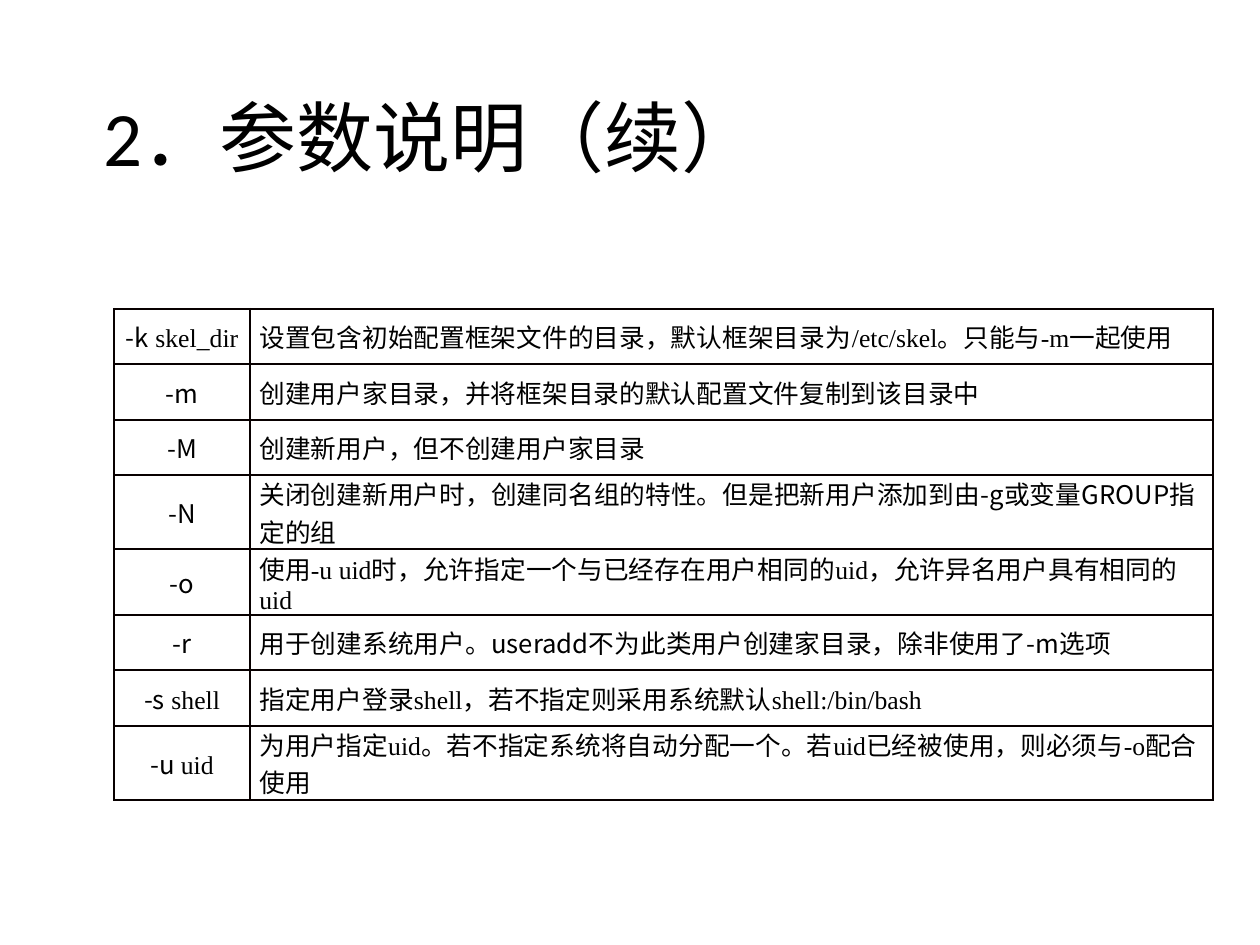
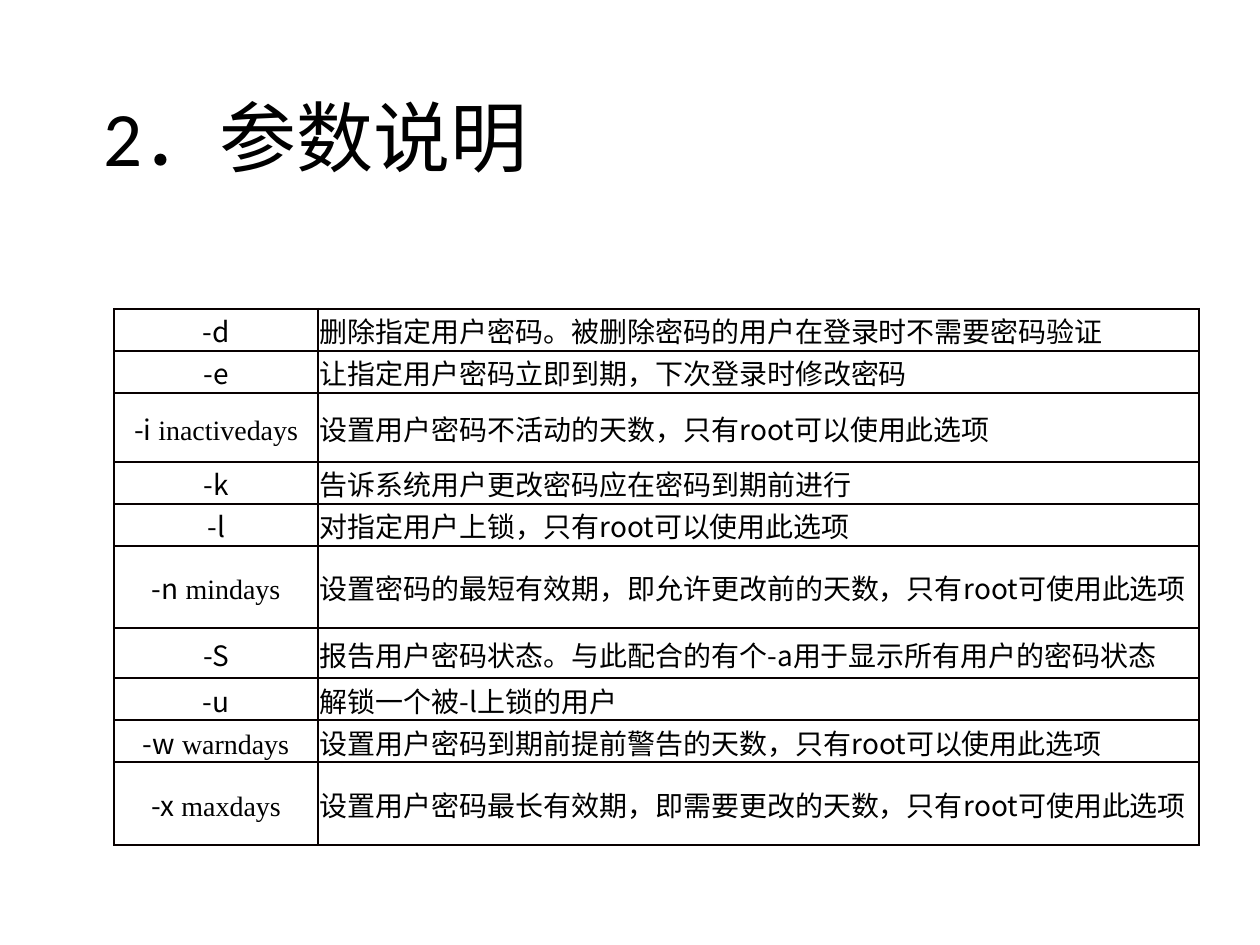
import lxml.etree
import pptx
import pptx.dml.color
import pptx.enum.shapes
import pptx.enum.text
import pptx.oxml.ns
import pptx.util

Pt = pptx.util.Pt
qn = pptx.oxml.ns.qn


def rgb(value):
    return pptx.dml.color.RGBColor.from_string(value)


class Deck:
    """Holds the shared style and the current slide; in cell text "|" switches between sans and serif."""

    TEXT, BORDER, PANEL = "000000", "080000", "FFFFFF"
    TITLE_FONT, SANS, SERIF = "Calibri", "Noto Sans CJK SC", "Times New Roman"
    TABLE_LEFT, TABLE_TOP = 48.9, 132.4

    def __init__(self):
        self.prs = pptx.Presentation()
        self.prs.slide_width, self.prs.slide_height = Pt(540), Pt(405)

    def slide(self, title):
        self.s = self.prs.slides.add_slide(self.prs.slide_layouts[6])
        self.panel(346.5, 360, 174, 45)
        self.title(title)

    def panel(self, x, y, w, h):
        sp = self.s.shapes.add_shape(
            pptx.enum.shapes.MSO_SHAPE.RECTANGLE, Pt(x), Pt(y), Pt(w), Pt(h))
        sp.shadow.inherit = False
        sp.fill.solid()
        sp.fill.fore_color.rgb = sp.line.color.rgb = rgb(self.PANEL)
        sp.line.width = Pt(1)

    def style(self, p, size):
        p.font.size = Pt(size)
        p.font.color.rgb = rgb(self.TEXT)
        ea = lxml.etree.SubElement(p.font._element, qn("a:ea"))
        ea.set("typeface", self.SANS)

    def title(self, text):
        sp = self.s.shapes.add_textbox(Pt(37.2), Pt(21.6), Pt(466), Pt(78.5))
        tf = sp.text_frame
        tf.word_wrap = True
        tf.vertical_anchor = pptx.enum.text.MSO_ANCHOR.MIDDLE
        p = tf.paragraphs[0]
        p.line_spacing = 0.9
        p.add_run().text = text
        self.style(p, 33)
        p.font.name = self.TITLE_FONT

    def border(self, cell):
        tcPr = cell._tc.get_or_add_tcPr()
        for side in ("a:lnL", "a:lnR", "a:lnT", "a:lnB"):
            ln = lxml.etree.SubElement(tcPr, qn(side), w=str(Pt(1)))
            fill = lxml.etree.SubElement(ln, qn("a:solidFill"))
            lxml.etree.SubElement(fill, qn("a:srgbClr"), val=self.BORDER)

    def cell(self, cell, text, size, align, margins):
        self.border(cell)
        cell.fill.background()
        cell.vertical_anchor = pptx.enum.text.MSO_ANCHOR.MIDDLE
        side, top = margins
        cell.margin_left = cell.margin_right = Pt(side)
        cell.margin_top, cell.margin_bottom = Pt(top), Pt(0)
        p = cell.text_frame.paragraphs[0]
        p.alignment = align
        self.style(p, size)
        for i, part in enumerate(text.split("|")):
            if part:
                r = p.add_run()
                r.text = part
                r.font.name = self.SERIF if i % 2 else self.SANS

    def table(self, rows, widths, row_height, size, margins, tall):
        heights = [tall.get(i, row_height) for i in range(len(rows))]
        sp = self.s.shapes.add_table(
            len(rows), len(widths), Pt(self.TABLE_LEFT), Pt(self.TABLE_TOP),
            Pt(sum(widths)), Pt(sum(heights)))
        table = sp.table
        table.first_row = table.horz_banding = False
        for column, width in zip(table.columns, widths):
            column.width = Pt(width)
        aligns = (pptx.enum.text.PP_ALIGN.CENTER, pptx.enum.text.PP_ALIGN.LEFT)
        for row, height, texts in zip(table.rows, heights, rows):
            row.height = Pt(height)
            for cell, text, align in zip(row.cells, texts, aligns):
                self.cell(cell, text, size, align, margins)


USERADD = [
    ("-k| skel_dir", "|设置包含初始配置框架文件的目录，默认框架目录为/etc/skel。只能与-m一起使用"),
    ("-m", "|创建用户家目录，并将框架目录的默认配置文件复制到该目录中"),
    ("-M", "|创建新用户，但不创建用户家目录"),
    ("-N", "|关闭创建新用户时，|创建同名组的特性。但是把新用户添加到由-g或变量GROUP指定的组"),
    ("-o", "|使用-u uid|时，|允许指定一个与已经存在用户相同的uid|，|允许异名用户具有相同的uid"),
    ("-r", "|用于创建系统用户|。useradd不为此类用户创建家目录，除非使用了-m选项"),
    ("-s| shell", "|指定用户登录shell，若不指定则采用系统默认shell:/bin/bash"),
    ("-u |uid", "|为用户指定uid。若不指定系统将自动分配一个。若uid已经被使用，则必须与-o配合使用"),
]

PASSWD = [
    ("-d", "删除指定用户密码。被删除密码的用户在登录时不需要密码验证"),
    ("-e", "让指定用户密码立即到期，下次登录时修改密码"),
    ("-i| inactivedays", "设置用户密码不活动的天数，只有root可以使用此选项"),
    ("-k", "告诉系统用户更改密码应在密码到期前进行"),
    ("-l", "对指定用户上锁，只有root可以使用此选项"),
    ("-n| mindays", "设置密码的最短有效期，即允许更改前的天数，只有root可使用此选项"),
    ("-S", "报告用户密码状态。与此配合的有个-a用于显示所有用户的密码状态"),
    ("-u", "解锁一个被-l上锁的用户"),
    ("-w| warndays", "设置用户密码到期前提前警告的天数，只有root可以使用此选项"),
    ("-x| maxdays", "设置用户密码最长有效期，即需要更改的天数，只有root可使用此选项"),
]


def main():
    deck = Deck()
    deck.slide("2．参数说明（续）")
    deck.table(USERADD, (58.3, 412.8), 23.75, 11, (4, 0),
               {3: 31.7, 4: 28.3, 7: 31.7})
    deck.slide("2．参数说明")
    deck.table(PASSWD, (87.5, 377.5), 18, 12, (0.6, 0.6),
               {2: 29.5, 5: 35.4, 6: 21.5, 9: 35.4})
    deck.prs.save("out.pptx")


if __name__ == "__main__":
    main()
